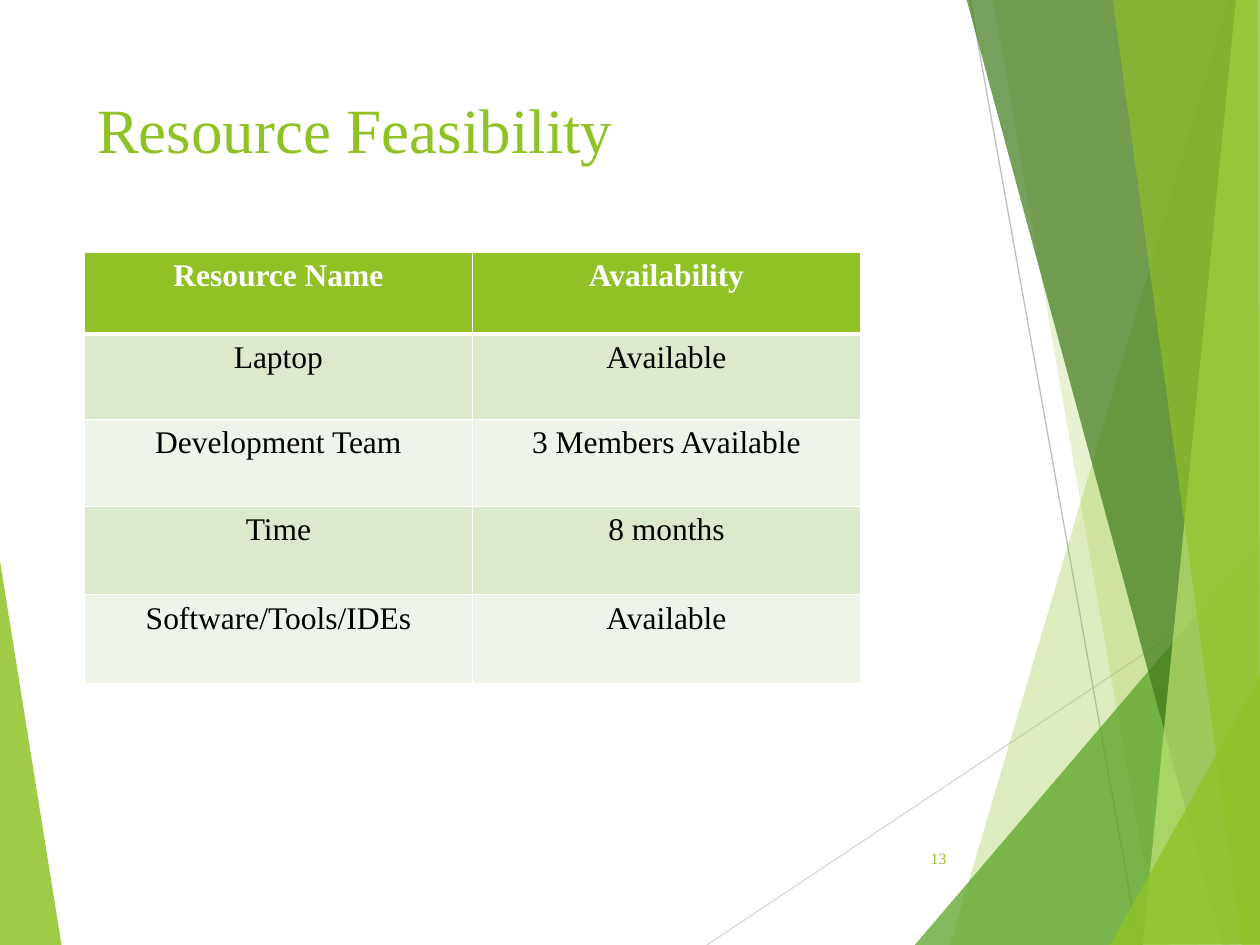
"""Build the Resource Feasibility slide with its faceted green backdrop and table."""
from lxml import etree
from pptx import Presentation
from pptx.dml.color import RGBColor
from pptx.enum import shapes, text
from pptx.oxml import ns
from pptx.util import Inches, Pt

GREEN = "90C226"


def rgb(value):
    return RGBColor.from_string(value)


def add_run(p, words, size, color, bold=False):
    r = p.add_run()
    r.text = words
    r.font.name = "Times New Roman"
    r.font.size = Pt(size)
    r.font.bold = bold
    r.font.color.rgb = rgb(color)


prs = Presentation()
prs.slide_width, prs.slide_height = Inches(10), Inches(7.5)
s = prs.slides.add_slide(prs.slide_layouts[5])

lines = [
    ("D9D9D9", 5.61, 7.5, 10.01, 4.57),
    ("BFBFBF", 7.7, 0, 9.04, 7.5),
]
facets = [
    (GREEN, 85, [(-0.01, 4.39), (0.49, 7.51), (-0.01, 7.5)]),
    (GREEN, 30, [(9.75, 0), (7.54, 7.5), (10.02, 7.51), (10.01, 0.01)]),
    (GREEN, 20, [(7.88, -0.01), (9.19, 7.5), (10.01, 7.5), (10.01, -0.01)]),
    ("54A021", 72, [(7.26, 7.5), (10, 4.29), (10.01, 7.5)]),
    ("3F7819", 70, [(7.67, -0.01), (9.7, 7.5), (10.01, 7.49), (10.01, -0.01)]),
    ("C0E474", 70, [(9.81, -0.01), (9.07, 7.5), (10.01, 7.5), (10, -0.01)]),
    (GREEN, 65, [(8.83, -0.01), (9.86, 7.5), (10, 7.5), (9.98, -0.01)]),
    (GREEN, 80, [(8.81, 7.5), (10.01, 5.35), (10.01, 7.49)]),
]

for color, *ends in lines:
    line = s.shapes.add_connector(shapes.MSO_CONNECTOR.STRAIGHT, *map(Inches, ends))
    line.line.color.rgb = rgb(color)
    line.line.width = Pt(0.75)
    etree.SubElement(line.element.spPr, ns.qn("a:effectLst"))

for color, opacity, points in facets:
    start, *rest = [(Inches(x), Inches(y)) for x, y in points]
    builder = s.shapes.build_freeform(*start)
    builder.add_line_segments(rest, close=True)
    sp = builder.convert_to_shape()
    sp.shadow.inherit = False
    sp.fill.solid()
    sp.fill.fore_color.rgb = rgb(color)
    sp.line.fill.background()
    clr = sp.element.spPr.find(ns.qn("a:solidFill")).find(ns.qn("a:srgbClr"))
    etree.SubElement(clr, ns.qn("a:alpha"), val=str(opacity * 1000))

title = s.shapes.title
title.left, title.top = Inches(0.67), Inches(0.67)
title.width, title.height = Inches(6.94), Inches(1.44)
tf = title.text_frame
tf.vertical_anchor = text.MSO_ANCHOR.TOP
p = tf.paragraphs[0]
p.alignment = text.PP_ALIGN.LEFT
add_run(p, "Resource Feasibility", 36, GREEN)

number = s.shapes.add_textbox(Inches(7.05), Inches(6.61), Inches(0.56), Inches(0.4))
tf = number.text_frame
tf.word_wrap = True
tf.vertical_anchor = text.MSO_ANCHOR.MIDDLE
p = tf.paragraphs[0]
p.alignment = text.PP_ALIGN.RIGHT
add_run(p, "13", 9, GREEN)

rows = [
    ("Resource Name", "Availability"),
    ("Laptop", "Available"),
    ("Development Team", "3 Members Available"),
    ("Time", "8 months"),
    ("Software/Tools/IDEs", "Available"),
]
heights = [0.65, 0.68, 0.69, 0.7, 0.71]
table = s.shapes.add_table(
    len(rows), 2, Inches(0.67), Inches(2), Inches(6.16), Inches(sum(heights))
).table
for i, (row, height) in enumerate(zip(rows, heights)):
    table.rows[i].height = Inches(height)
    header = i == 0
    fill = GREEN if header else ("EEF4E8", "DBE9CD")[i % 2]
    for j, words in enumerate(row):
        cell = table.cell(i, j)
        tcPr = cell._tc.get_or_add_tcPr()
        for side in "LRTB":
            thick = (i, side) in ((0, "B"), (1, "T"))
            ln = etree.SubElement(tcPr, ns.qn(f"a:ln{side}"), w=str(Pt(3 if thick else 1)))
            solid = etree.SubElement(ln, ns.qn("a:solidFill"))
            etree.SubElement(solid, ns.qn("a:srgbClr"), val="FFFFFF")
        cell.fill.solid()
        cell.fill.fore_color.rgb = rgb(fill)
        p = cell.text_frame.paragraphs[0]
        p.alignment = text.PP_ALIGN.CENTER
        add_run(p, words, 18, "FFFFFF" if header else "000000", header)

prs.save("out.pptx")
